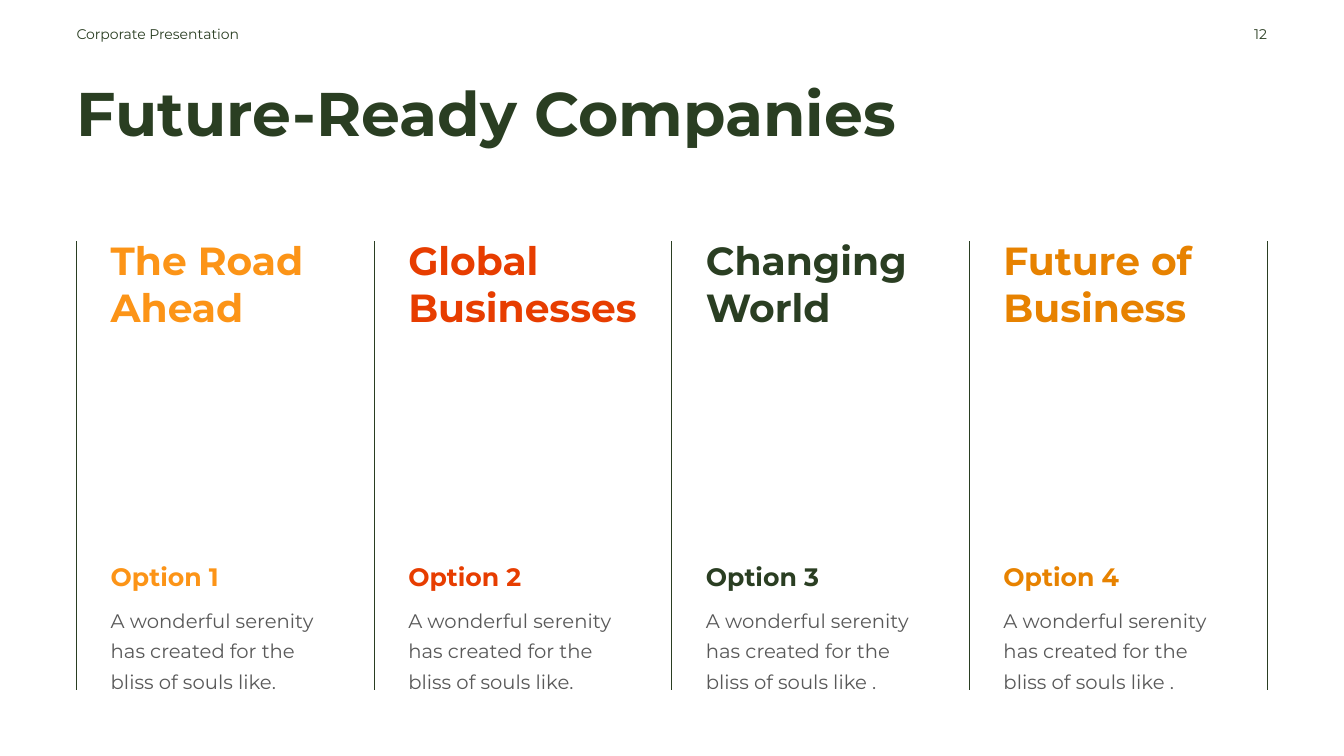
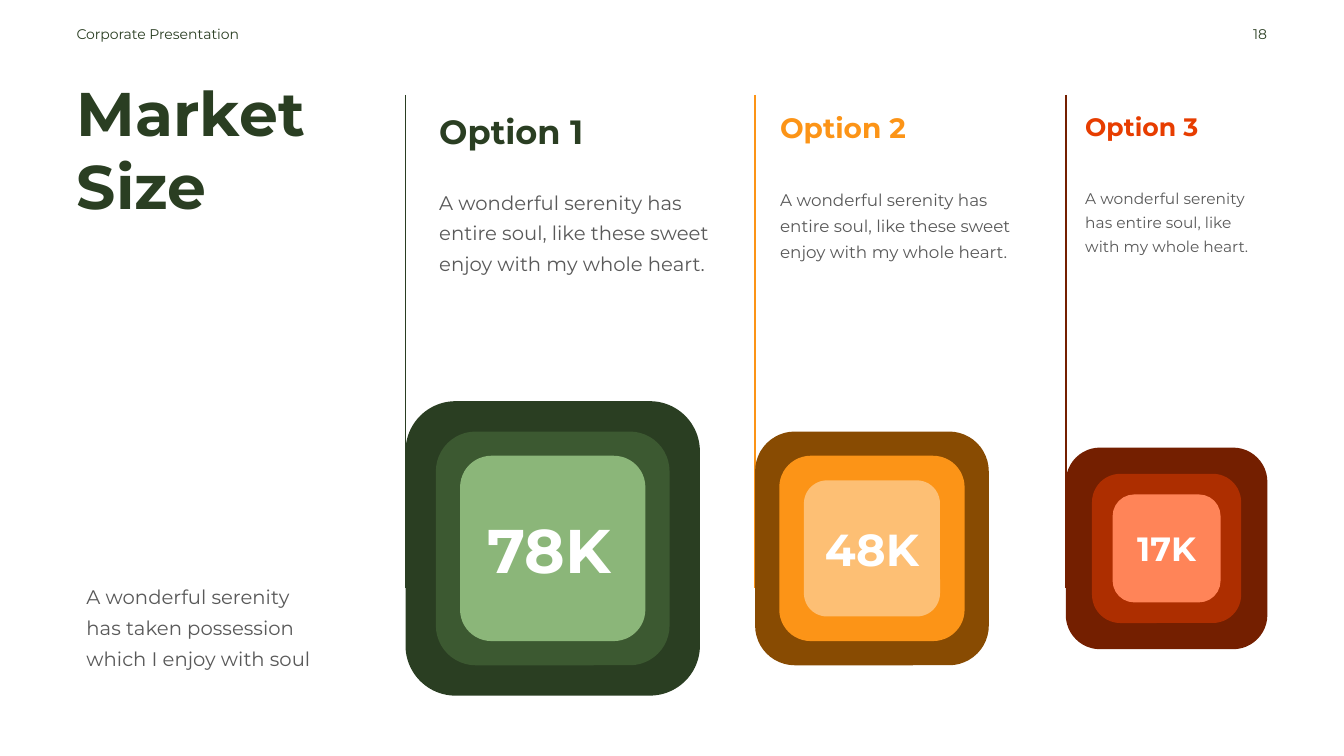
import pptx
import pptx.dml.color
import pptx.enum.shapes
import pptx.enum.text
import pptx.oxml
import pptx.oxml.ns
import pptx.util
from pptx.util import Cm

COLORS = {
    "green": "2A3E22",
    "mid_green": "3C5931",
    "light_green": "8BB679",
    "orange": "FC9417",
    "dark_orange": "E78200",
    "light_orange": "FDBF74",
    "brown": "884B02",
    "red": "E73D00",
    "mid_red": "AD2E00",
    "dark_red": "741F00",
    "salmon": "FF8458",
    "grey": "595959",
    "white": "FFFFFF",
}
ALIGN = pptx.enum.text.PP_ALIGN
ANCHOR = pptx.enum.text.MSO_ANCHOR


def rgb(name):
    return pptx.dml.color.RGBColor.from_string(COLORS[name])


class Deck:
    """Holds the presentation, its shared style and the slide being built."""

    font_name = "Montserrat"
    left = 1.68
    body_spacing = 1.3

    def __init__(self):
        self.presentation = pptx.Presentation()
        self.presentation.slide_width = Cm(33.87)
        self.presentation.slide_height = Cm(19.05)
        self.slide = None

    def add_slide(self, title, number, title_width, title_height):
        title_only = self.presentation.slide_layouts[5]
        self.slide = self.presentation.slides.add_slide(title_only)
        self.text("Corporate Presentation", self.left, 0.53, 6, 0.69, 10, "green")
        self.text(number, 24.56, 0.53, 7.62, 0.69, 10, "green", align=ALIGN.RIGHT)
        shape = self.slide.shapes.title
        shape.left, shape.top = Cm(self.left), Cm(1.75)
        shape.width, shape.height = Cm(title_width), Cm(title_height)
        self.format_text(shape.text_frame, title, 44, "green", bold=True)

    def format_text(self, text_frame, text, size, color, bold=False,
                    align=ALIGN.LEFT, anchor=ANCHOR.TOP, spacing=1.0):
        text_frame.text = text
        text_frame.word_wrap = True
        text_frame.auto_size = pptx.enum.text.MSO_AUTO_SIZE.NONE
        text_frame.vertical_anchor = anchor
        for paragraph in text_frame.paragraphs:
            paragraph.alignment = align
            paragraph.line_spacing = spacing
            for run in paragraph.runs:
                run.font.name = self.font_name
                run.font.size = pptx.util.Pt(size)
                run.font.bold = bold
                run.font.color.rgb = rgb(color)

    def text(self, text, left, top, width, height, size, color, **style):
        box = self.slide.shapes.add_textbox(Cm(left), Cm(top), Cm(width), Cm(height))
        self.format_text(box.text_frame, text, size, color, **style)

    def heading(self, text, left, top, width, height, size, color):
        self.text(text, left, top, width, height, size, color, bold=True)

    def body(self, text, left, top, width, size=14):
        self.text(text, left, top, width, 2.51, size, "grey", spacing=self.body_spacing)

    def vertical_line(self, x, top, bottom, color, weight):
        line = self.slide.shapes.add_connector(
            pptx.enum.shapes.MSO_CONNECTOR.STRAIGHT, Cm(x), Cm(top), Cm(x), Cm(bottom))
        line.line.color.rgb = rgb(color)
        line.line.width = pptx.util.Pt(weight)
        properties = line._element.find(pptx.oxml.ns.qn("p:spPr"))
        properties.append(pptx.oxml.parse_xml(
            "<a:effectLst %s/>" % pptx.oxml.ns.nsdecls("a")))

    def rounded_square(self, center_x, center_y, side, color, corner):
        shape = self.slide.shapes.add_shape(
            pptx.enum.shapes.MSO_SHAPE.ROUNDED_RECTANGLE,
            Cm(center_x - side / 2), Cm(center_y - side / 2), Cm(side), Cm(side))
        shape.adjustments[0] = corner
        shape.shadow.inherit = False
        shape.fill.solid()
        shape.fill.fore_color.rgb = rgb(color)
        shape.line.fill.background()


def build_companies(deck):
    deck.add_slide("Future-Ready Companies", "12", 22.07, 2.13)
    first_line, pitch, text_inset, text_width = 1.93, 7.5, 0.61, 6.3
    serenity = "A wonderful serenity has created for the bliss of souls like"
    columns = [
        ("The Road Ahead", "orange", "."),
        ("Global Businesses", "red", "."),
        ("Changing World", "green", " ."),
        ("Future of Business", "dark_orange", " ."),
    ]
    for index in range(len(columns) + 1):
        deck.vertical_line(first_line + index * pitch, 6.08, 17.38, "green", 0.5)
    for index, (name, color, ending) in enumerate(columns):
        left = first_line + index * pitch + text_inset
        deck.heading(name, left, 5.84, text_width, 2.64, 28, color)
        deck.heading(f"Option {index + 1}", left, 14.02, text_width, 1.02, 18, color)
        deck.body(serenity + ending, left, 15.04, text_width)


def build_market_size(deck):
    deck.add_slide("Market Size", "18", 7.92, 4.01)
    center_y = 13.82
    sweet = ("A wonderful serenity has entire soul, like these sweet "
             "enjoy with my whole heart.")
    markets = [
        {"left": 10.22, "line": "green", "value": "78K", "value_size": 44,
         "value_shift": -0.09, "heading": "green", "heading_size": 24,
         "text": sweet, "text_size": 14, "text_left": 10.82, "text_width": 7.42,
         "squares": [(7.42, "green", 0.17), (5.89, "mid_green", 0.17),
                     (4.67, "light_green", 0.17)]},
        {"left": 19.03, "line": "orange", "value": "48K", "value_size": 32,
         "value_shift": 0, "heading": "orange", "heading_size": 20,
         "text": sweet, "text_size": 12, "text_left": 19.41, "text_width": 7.01,
         "squares": [(5.89, "brown", 0.17), (4.67, "orange", 0.17),
                     (3.43, "light_orange", 0.17)]},
        {"left": 26.86, "line": "dark_red", "value": "17K", "value_size": 24,
         "value_shift": 0, "heading": "red", "heading_size": 18,
         "text": "A wonderful serenity has entire soul, like with my whole heart.",
         "text_size": 11, "text_left": 27.1, "text_width": 4.83,
         "squares": [(5.08, "dark_red", 0.17), (3.76, "mid_red", 0.19),
                     (2.72, "salmon", 0.2)]},
    ]
    value_width, value_height = 4.85, 2.13
    for number, market in enumerate(markets, start=1):
        center_x = market["left"] + market["squares"][0][0] / 2
        deck.vertical_line(market["left"], 2.39, 14.81, market["line"], 1)
        for side, color, corner in market["squares"]:
            deck.rounded_square(center_x, center_y, side, color, corner)
        deck.text(market["value"],
                  center_x + market["value_shift"] - value_width / 2,
                  center_y - value_height / 2, value_width, value_height,
                  market["value_size"], "white", bold=True,
                  align=ALIGN.CENTER, anchor=ANCHOR.MIDDLE)
        left, width = market["text_left"], market["text_width"]
        deck.heading(f"Option {number}", left, 2.67, width, 1.28,
                     market["heading_size"], market["heading"])
        deck.body(market["text"], left, 4.5, width, market["text_size"])
    deck.body("A wonderful serenity has taken possession which I enjoy with soul",
              1.93, 14.45, 6.35)


def main():
    deck = Deck()
    build_companies(deck)
    build_market_size(deck)
    deck.presentation.save("out.pptx")


if __name__ == "__main__":
    main()
